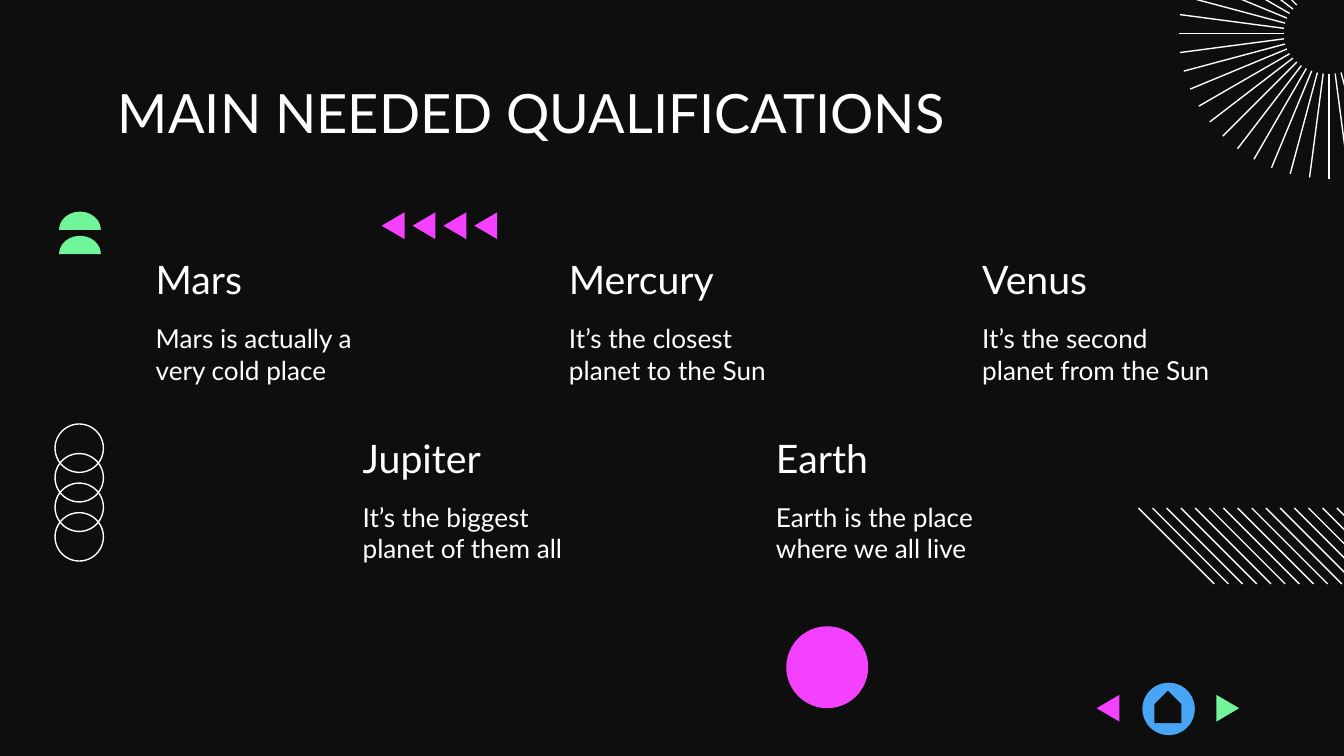
from math import cos, pi, radians, sin

from lxml.etree import SubElement
from pptx import Presentation
from pptx.dml.color import RGBColor
from pptx.enum.shapes import MSO_CONNECTOR, MSO_SHAPE
from pptx.enum.text import MSO_ANCHOR, PP_ALIGN
from pptx.oxml.ns import qn
from pptx.util import Cm, Pt

DARK = RGBColor(0x0E, 0x0E, 0x0E)
WHITE = RGBColor(0xFF, 0xFF, 0xFF)
GREEN = RGBColor(0x72, 0xF4, 0x9A)
PINK = RGBColor(0xF3, 0x41, 0xFF)
BLUE = RGBColor(0x47, 0xA5, 0xF3)
FONT = "Lato"

# Content
TITLE = "MAIN NEEDED QUALIFICATIONS"
ROWS = [
    # left, top, (heading, description) pairs
    (1.06, 1.80, [("Mars", "Mars is actually a very cold place"),
                  ("Mercury", "It’s the closest planet to the Sun"),
                  ("Venus", "It’s the second planet from the Sun")]),
    (2.60, 3.13, [("Jupiter", "It’s the biggest planet of them all"),
                  ("Earth", "Earth is the place where we all live")]),
]
COLUMN_STEP = 3.075


def inch(value):
    return Cm(value * 2.54)


prs = Presentation()
prs.slide_width, prs.slide_height = inch(10), inch(5.625)
s = prs.slides.add_slide(prs.slide_layouts[6])
s.background.fill.solid()
s.background.fill.fore_color.rgb = DARK


def paint(sp, color):
    sp.shadow.inherit = False
    sp.fill.solid()
    sp.fill.fore_color.rgb = color
    sp.line.fill.background()


def add_preset(kind, x, y, w, h):
    return s.shapes.add_shape(kind, inch(x), inch(y), inch(w), inch(h))


def add_polygon(points, color):
    pts = [(inch(x), inch(y)) for x, y in points]
    builder = s.shapes.build_freeform(*pts[0])
    builder.add_line_segments(pts[1:], close=True)
    paint(builder.convert_to_shape(), color)


def add_triangle(base_x, tip_x, top, color):
    add_polygon([(base_x, top), (tip_x, top + 0.1), (base_x, top + 0.2)], color)


def add_line(x1, y1, x2, y2):
    line = s.shapes.add_connector(MSO_CONNECTOR.STRAIGHT,
                                  inch(x1), inch(y1), inch(x2), inch(y2))
    line.line.color.rgb = WHITE
    line.line.width = Pt(0.75)
    SubElement(line._element.spPr, qn("a:effectLst"))


def add_text(text, x, y, w, h, size, top_inset=0.1):
    tf = s.shapes.add_textbox(inch(x), inch(y), inch(w), inch(h)).text_frame
    tf.word_wrap = True
    tf.vertical_anchor = MSO_ANCHOR.TOP
    tf.margin_left = tf.margin_right = tf.margin_bottom = inch(0.1)
    tf.margin_top = inch(top_inset)
    tf.text = text
    p = tf.paragraphs[0]
    p.alignment = PP_ALIGN.LEFT
    r = p.runs[0]
    r.font.name = FONT
    r.font.size = Pt(size)
    r.font.color.rgb = WHITE


# Green domes
for base in (1.71, 1.89):
    add_polygon([(0.595 - 0.155 * cos(pi * i / 36), base - 0.135 * sin(pi * i / 36))
                 for i in range(37)], GREEN)

# Chain of rings
for i in range(4):
    ring = add_preset(MSO_SHAPE.OVAL, 0.41, 3.155 + 0.22 * i, 0.36, 0.36)
    ring.shadow.inherit = False
    ring.fill.background()
    ring.line.color.rgb = WHITE
    ring.line.width = Pt(0.75)

# Sunburst: equal rays starting on an ellipse
for i in range(21):
    angle = radians(-45 + 7.5 * i)
    x, y = 9.89 - 0.34 * cos(angle), 0.25 + 0.3 * sin(angle)
    add_line(x - 0.78 * cos(angle), y + 0.78 * sin(angle), x, y)

# Diagonal hatching
for i in range(15):
    x = 8.47 + 0.1055 * i
    add_line(x, 3.78, x + 0.565, 4.345)

# Title and planets
add_text(TITLE, 0.78, 0.59, 8.44, 0.46, 29, top_inset=0)
for left, top, planets in ROWS:
    for i, (heading, description) in enumerate(planets):
        x = left + COLUMN_STEP * i
        add_text(heading, x, top, 1.98, 0.48, 21)
        add_text(description, x, top + 0.5, 1.98, 0.84, 14)

# Pink disc and arrowheads
paint(add_preset(MSO_SHAPE.OVAL, 5.85, 4.66, 0.61, 0.61), PINK)
for i in range(4):
    tip = 2.84 + 0.23 * i
    add_triangle(tip + 0.17, tip, 1.58, PINK)

# Navigation: home, back, forward
paint(add_preset(MSO_SHAPE.OVAL, 8.5, 5.08, 0.39, 0.39), BLUE)
house = add_preset(MSO_SHAPE.PENTAGON, 8.57, 5.16, 0.24, 0.2)
house.rotation = 270
house.adjustments[0] = 0.5
paint(house, DARK)
add_triangle(8.33, 8.16, 5.17, PINK)
add_triangle(9.05, 9.22, 5.17, GREEN)

prs.save("out.pptx")
